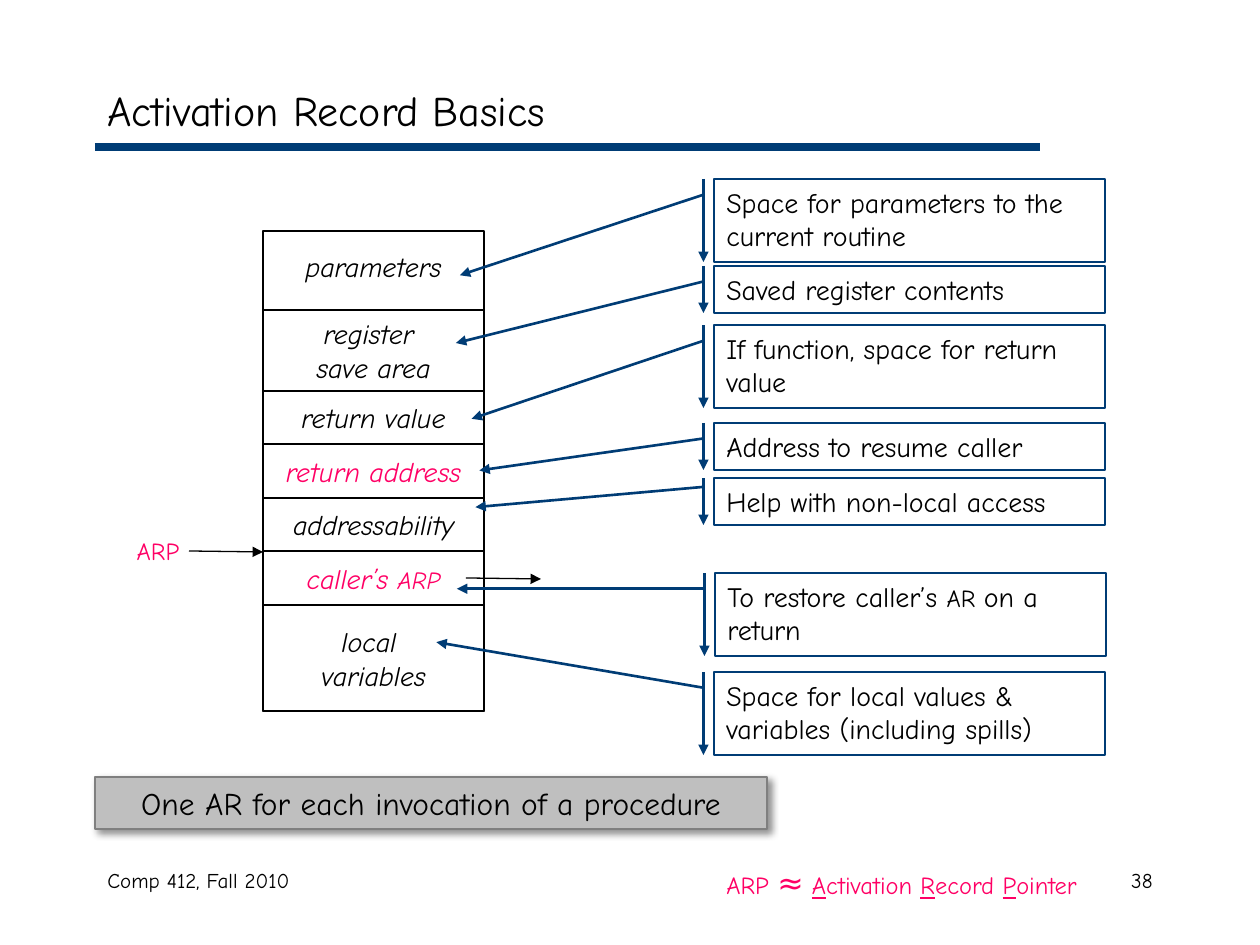
from dataclasses import dataclass
from typing import NamedTuple, Optional, Union

from lxml.etree import SubElement
from pptx import Presentation
from pptx.dml.color import RGBColor
from pptx.enum.shapes import MSO_CONNECTOR, MSO_SHAPE
from pptx.enum.text import MSO_ANCHOR, PP_ALIGN
from pptx.oxml.ns import qn
from pptx.util import Emu, Pt

FONT = "Comic Neue"
BLACK = RGBColor(0x00, 0x00, 0x00)
NAVY = RGBColor(0x00, 0x3C, 0x75)
PINK = RGBColor(0xFF, 0x00, 0x65)
SILVER = RGBColor(0xBF, 0xBF, 0xBF)
GRAY = RGBColor(0x7F, 0x7F, 0x7F)

RECORD_X, RECORD_W = 263, 221
RECORD_TOP, RECORD_H = 231, 480
FIELDS_TOP = 310
CALLOUT_W = 391


class Run(NamedTuple):
    text: str
    size: Optional[int] = None
    underline: bool = False


Line = Union[str, list[Run]]


@dataclass
class Field:
    height: int
    lines: list[Line]
    color: RGBColor = BLACK


@dataclass
class Callout:
    y: int
    height: int
    start_y: float
    end_y: float
    end_x: float
    lines: list[Line]
    x: int = 714


FIELDS = [
    Field(81, ["register ", "save area"]),
    Field(53, ["return value"]),
    Field(54, ["return address"], PINK),
    Field(53, ["addressability"]),
    Field(54, [[Run("caller’s "), Run("ARP", 14)]], PINK),
    Field(106, ["local ", "variables"]),
]

CALLOUTS = [
    Callout(179, 83, 0.19, 1.16, -0.65, ["Space for parameters to the current routine"]),
    Callout(266, 47, 0.33, 1.64, -0.66, ["Saved register contents"]),
    Callout(325, 83, 0.19, 1.13, -0.62, ["If function, space for return value"]),
    Callout(423, 47, 0.33, 1.01, -0.6, ["Address to resume caller"]),
    Callout(478, 47, 0.19, 0.62, -0.61, ["Help with non-local access"]),
    Callout(573, 83, 0.19, 0.19, -0.66,
            [[Run("To restore caller’s "), Run("AR ", 14), Run("on a")], "return"], 715),
    Callout(672, 83, 0.19, -0.36, -0.71,
            ["Space for local values & variables (including spills)"]),
]

ARP_MEANING = [
    Run("ARP "), Run("≈", 18), Run(" "),
    Run("A", underline=True), Run("ctivation "),
    Run("R", underline=True), Run("ecord "),
    Run("P", underline=True), Run("ointer"),
]


def px(n: int) -> Emu:
    return Emu(round(n * 914400 / 126))


def write(tf, lines: list[Line], *, size: int = 16, color: RGBColor = BLACK,
          italic: bool = False, align=PP_ALIGN.LEFT, anchor=MSO_ANCHOR.TOP,
          wrap: bool = True) -> None:
    tf.word_wrap = wrap
    tf.vertical_anchor = anchor
    for i, line in enumerate(lines):
        p = tf.paragraphs[0] if i == 0 else tf.add_paragraph()
        p.alignment = align
        for run in [Run(line)] if isinstance(line, str) else line:
            r = p.add_run()
            r.text = run.text
            r.font.name = FONT
            r.font.size = Pt(run.size or size)
            r.font.color.rgb = color
            r.font.italic = italic
            r.font.underline = run.underline


def add_label(s, x: int, y: int, w: int, h: int, lines: list[Line], **fmt) -> None:
    write(s.shapes.add_textbox(px(x), px(y), px(w), px(h)).text_frame, lines, **fmt)


def add_arrowhead(line) -> None:
    ln = line._get_or_add_ln()
    SubElement(ln, qn("a:tailEnd"), type="triangle")


def add_line(s, x1: int, y1: int, x2: int, y2: int, color: RGBColor,
             width: float, arrow: bool = False) -> None:
    c = s.shapes.add_connector(MSO_CONNECTOR.STRAIGHT, px(x1), px(y1), px(x2), px(y2))
    c.line.color.rgb = color
    c.line.width = Pt(width)
    if arrow:
        add_arrowhead(c.line)
    SubElement(c._element.spPr, qn("a:effectLst"))


def add_box(s, x: int, y: int, w: int, h: int, *, line: RGBColor = BLACK,
            width: float = 0.75, fill: Optional[RGBColor] = None,
            kind=MSO_SHAPE.RECTANGLE):
    sp = s.shapes.add_shape(kind, px(x), px(y), px(w), px(h))
    sp.shadow.inherit = False
    if fill is None:
        sp.fill.background()
    else:
        sp.fill.solid()
        sp.fill.fore_color.rgb = fill
    sp.line.color.rgb = line
    sp.line.width = Pt(width)
    return sp


def add_shadow(sp) -> None:
    effects = sp._element.spPr.find(qn("a:effectLst"))
    shadow = SubElement(effects, qn("a:outerShdw"), blurRad=str(Pt(4)),
                        dist=str(Pt(3)), dir="2700000", algn="tl", rotWithShape="0")
    color = SubElement(shadow, qn("a:srgbClr"), val=str(BLACK))
    SubElement(color, qn("a:alpha"), val="43000")


def add_record(s) -> None:
    fmt = dict(italic=True, align=PP_ALIGN.CENTER, anchor=MSO_ANCHOR.MIDDLE, wrap=False)
    add_box(s, RECORD_X, RECORD_TOP, RECORD_W, RECORD_H, width=1)
    add_label(s, RECORD_X, 228, RECORD_W, 77, ["parameters"], **fmt)
    y = FIELDS_TOP
    for f in FIELDS:
        sp = add_box(s, RECORD_X, y, RECORD_W, f.height)
        write(sp.text_frame, f.lines, color=f.color, **fmt)
        y += f.height


def add_callout(s, c: Callout) -> None:
    sp = add_box(s, c.x, c.y, CALLOUT_W, c.height, line=NAVY, width=1.5,
                 kind=MSO_SHAPE.LINE_CALLOUT_1_BORDER_AND_ACCENT_BAR)
    for i, value in enumerate((c.start_y, -0.027, c.end_y, c.end_x)):
        sp.adjustments[i] = value
    add_arrowhead(sp.line)
    write(sp.text_frame, c.lines)


def main() -> None:
    prs = Presentation()
    prs.slide_width, prs.slide_height = px(1260), px(945)
    s = prs.slides.add_slide(prs.slide_layouts[6])

    add_line(s, 95, 147, 1040, 147, NAVY, 4.5)
    add_label(s, 95, 861, 399, 63, ["Comp 412, Fall 2010"], size=12)
    add_label(s, 903, 861, 262, 63, ["38"], size=12, align=PP_ALIGN.RIGHT)
    add_label(s, 95, 73, 1071, 73, ["Activation Record Basics"], size=24,
              anchor=MSO_ANCHOR.MIDDLE)

    add_record(s)
    add_label(s, 116, 530, 84, 42, ["ARP"], size=14, color=PINK,
              align=PP_ALIGN.CENTER, anchor=MSO_ANCHOR.MIDDLE)
    add_line(s, 189, 551, 263, 552, BLACK, 0.75, arrow=True)
    add_line(s, 466, 578, 541, 579, BLACK, 0.75, arrow=True)
    for c in CALLOUTS:
        add_callout(s, c)

    summary = add_box(s, 95, 777, 672, 52, line=GRAY, width=1.5, fill=SILVER)
    add_shadow(summary)
    write(summary.text_frame, ["One AR for each invocation of a procedure"], size=18,
          align=PP_ALIGN.CENTER, anchor=MSO_ANCHOR.MIDDLE)
    add_label(s, 714, 857, 420, 50, [ARP_MEANING], size=14, color=PINK)

    prs.save("out.pptx")


if __name__ == "__main__":
    main()
